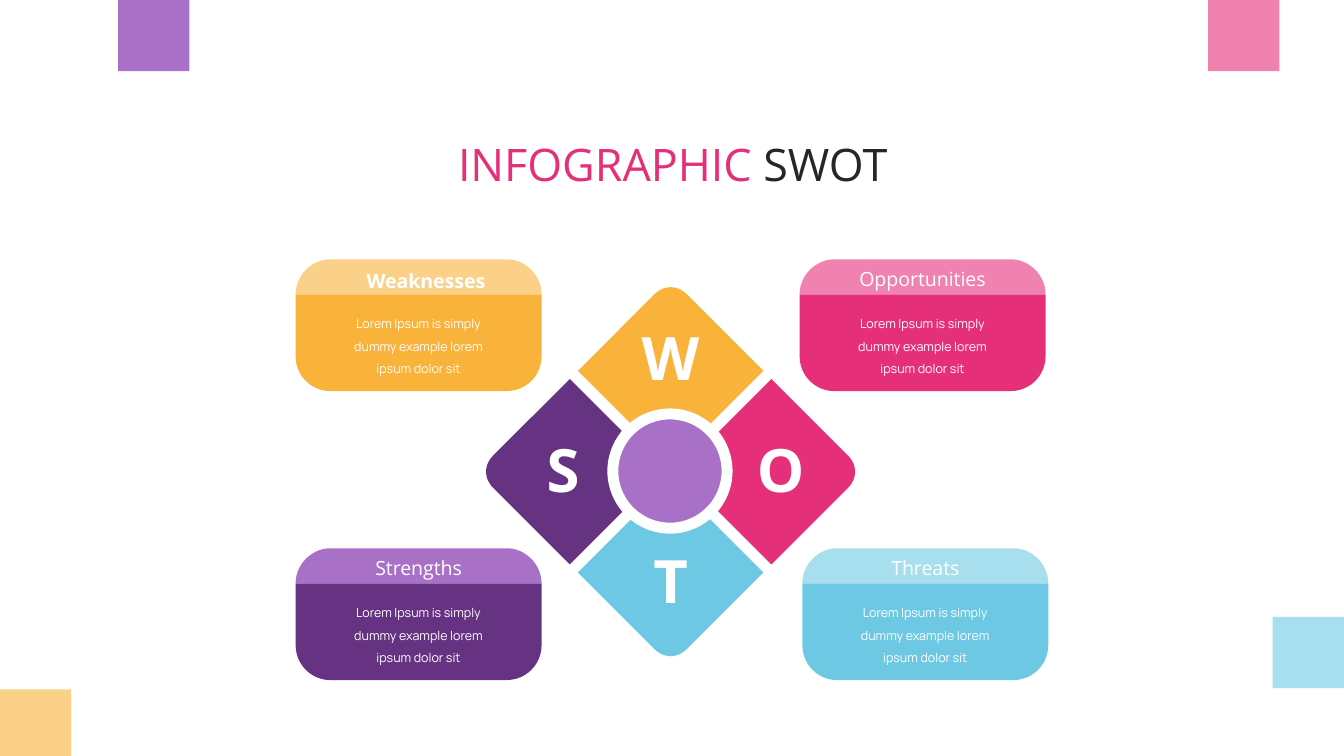
from dataclasses import dataclass

from pptx import Presentation
from pptx.dml.color import RGBColor
from pptx.enum.shapes import MSO_SHAPE
from pptx.enum.text import MSO_ANCHOR, PP_ALIGN
from pptx.util import Inches, Pt

WHITE = RGBColor(0xFF, 0xFF, 0xFF)
RING = RGBColor(0xFD, 0xFE, 0xFE)
INK = RGBColor(0x26, 0x26, 0x26)
ORANGE = RGBColor(0xF9, 0xB2, 0x3A)
PEACH = RGBColor(0xFB, 0xD1, 0x89)
PURPLE = RGBColor(0x66, 0x32, 0x82)
LILAC = RGBColor(0xA9, 0x70, 0xC8)
PINK = RGBColor(0xE6, 0x2F, 0x79)
ROSE = RGBColor(0xF0, 0x82, 0xAF)
BLUE = RGBColor(0x6D, 0xC9, 0xE3)
SKY = RGBColor(0xA7, 0xDF, 0xEE)

HEADING_FONT = "Open Sans"
BODY_FONT = "Manrope"
BODY = "Lorem Ipsum\u00a0is simply dummy example lorem ipsum dolor sit"
SLIDE_W = 10
CENTER_X, CENTER_Y = 4.99, 3.51
CARD_W, CAP_H, BODY_H = 1.83, 0.26, 0.72
SQUARE = 0.53

Point = tuple[float, float]


@dataclass(frozen=True)
class Petal:
    letter: str
    color: RGBColor
    turns: int
    reach: float


@dataclass(frozen=True)
class Card:
    title: str
    x: float
    y: float
    light: RGBColor
    dark: RGBColor
    title_w: float
    dx: float = 0
    dy: float = 0.01
    bold: bool = False
    align: PP_ALIGN = PP_ALIGN.CENTER


@dataclass(frozen=True)
class Run:
    text: str
    size: float
    color: RGBColor = WHITE
    font: str = HEADING_FONT
    bold: bool = False


PETALS = [
    Petal("S", PURPLE, 1, 0.80),
    Petal("W", ORANGE, 2, 0.84),
    Petal("O", PINK, 3, 0.82),
    Petal("T", BLUE, 0, 0.82),
]
CARDS = [
    Card("Weaknesses", 2.2, 1.93, PEACH, ORANGE, 1.15, 0.09, 0.02, True, PP_ALIGN.LEFT),
    Card("Strengths", 2.2, 4.08, LILAC, PURPLE, 0.95),
    Card("Threats", 5.97, 4.08, SKY, BLUE, 0.79),
    Card("Opportunities", 5.95, 1.93, ROSE, PINK, 1.27),
]
CORNERS = [(0, 5.13, PEACH), (8.99, 0, ROSE), (9.47, 4.59, SKY), (0.88, 0, LILAC)]

prs = Presentation()
prs.slide_width, prs.slide_height = Inches(SLIDE_W), Inches(SLIDE_W * 9 / 16)
s = prs.slides.add_slide(prs.slide_layouts[6])


def paint(sp, color: RGBColor) -> None:
    sp.shadow.inherit = False
    sp.fill.solid()
    sp.fill.fore_color.rgb = color
    sp.line.fill.background()


def add_preset(kind: MSO_SHAPE, x: float, y: float, w: float, h: float, color: RGBColor):
    sp = s.shapes.add_shape(kind, Inches(x), Inches(y), Inches(w), Inches(h))
    paint(sp, color)
    return sp


def bezier(a: Point, b: Point, c: Point, d: Point, steps: int = 14) -> list[Point]:
    def at(t: float, i: int) -> float:
        u = 1 - t
        return u**3 * a[i] + 3 * u * u * t * b[i] + 3 * u * t * t * c[i] + t**3 * d[i]

    return [(at(k / steps, 0), at(k / steps, 1)) for k in range(steps + 1)]


def add_outline(points: list[Point], color: RGBColor) -> None:
    emu = [(Inches(x), Inches(y)) for x, y in points]
    builder = s.shapes.build_freeform(*emu[0], scale=1.0)
    builder.add_line_segments(emu[1:], close=True)
    paint(builder.convert_to_shape(), color)


def add_text(x: float, y: float, w: float, h: float, runs: list[Run],
             align: PP_ALIGN = PP_ALIGN.CENTER, spacing: float = 1.0,
             anchor: MSO_ANCHOR = MSO_ANCHOR.TOP) -> None:
    tf = s.shapes.add_textbox(Inches(x), Inches(y), Inches(w), Inches(h)).text_frame
    tf.word_wrap = True
    tf.vertical_anchor = anchor
    p = tf.paragraphs[0]
    p.alignment = align
    p.line_spacing = spacing
    for run in runs:
        r = p.add_run()
        r.text = run.text
        r.font.name = run.font
        r.font.size = Pt(run.size)
        r.font.bold = run.bold
        r.font.color.rgb = run.color


def turn(point: Point, turns: int) -> Point:
    x, y = point
    for _ in range(turns):
        x, y = -y, x
    return CENTER_X + x, CENTER_Y + y


def draw_petal(petal: Petal) -> None:
    tip = bezier((0.12, 1.32), (0.05, 1.39), (-0.05, 1.39), (-0.12, 1.32))
    outline = [(0, 0.06), (0.69, 0.75), *tip, (-0.69, 0.75)]
    add_outline([turn(pt, petal.turns) for pt in outline], petal.color)
    x, y = turn((0, petal.reach), petal.turns)
    add_text(x - 0.4, y - 0.37, 0.8, 0.7, [Run(petal.letter, 32, bold=True)],
             anchor=MSO_ANCHOR.MIDDLE)


def draw_card(card: Card) -> None:
    left = bezier((0, CAP_H), (0, 0.12), (0.12, 0), (CAP_H, 0))
    right = [(CARD_W - x, y) for x, y in reversed(left)]
    add_outline([(card.x + x, card.y + y) for x, y in left + right], card.light)
    base = add_preset(MSO_SHAPE.ROUND_2_SAME_RECTANGLE, card.x, card.y + CAP_H,
                      CARD_W, BODY_H, card.dark)
    base.adjustments[0] = 0
    base.adjustments[1] = 0.36
    mid = card.x + CARD_W / 2
    add_text(mid + card.dx - card.title_w / 2, card.y + card.dy, card.title_w, 0.28,
             [Run(card.title, 10.5, bold=card.bold)], card.align)
    add_text(mid - 0.68, card.y + 0.32, 1.36, 0.6, [Run(BODY, 6.7, font=BODY_FONT)],
             spacing=1.5)


for petal in PETALS:
    draw_petal(petal)
hub = add_preset(MSO_SHAPE.OVAL, 4.56, 3.08, 0.85, 0.85, LILAC)
hub.line.color.rgb = RING
hub.line.width = Pt(5.88)
for card in CARDS:
    draw_card(card)
add_text(2.33, 0.97, 5.35, 0.5, [Run("INFOGRAPHIC", 24, PINK), Run(" SWOT", 24, INK)])
for x, y, color in CORNERS:
    add_preset(MSO_SHAPE.RECTANGLE, x, y, SQUARE, SQUARE, color)

prs.save("out.pptx")
